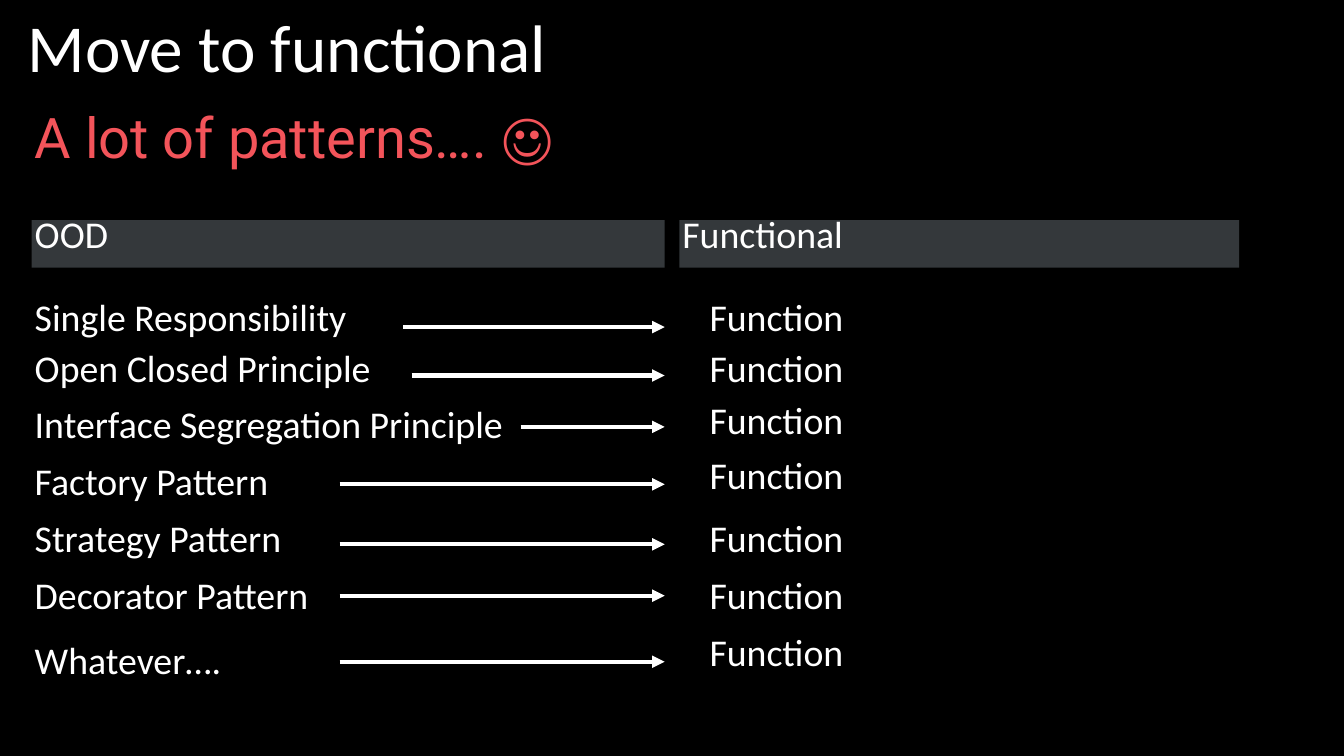
from lxml import etree
from pptx import Presentation
from pptx.dml.color import RGBColor
from pptx.enum.shapes import MSO_CONNECTOR as Connector, MSO_SHAPE as Shape
from pptx.enum.text import MSO_ANCHOR as Anchor, PP_ALIGN as Align
from pptx.oxml.ns import qn
from pptx.util import Inches, Pt

COLORS = {
    "background": "000000",
    "text": "FFFFFF",
    "accent": "F3545A",
    "header": "34383B",
}
INSET = 0.06
ROW_HEIGHT = 0.94
LEFT_COLUMN, RIGHT_COLUMN = 0.63, 14.02
COLUMN_WIDTH = 10.57
ARROW_END = 13.19

# Pattern, its top, top of its counterpart, arrow start, arrow height
ROWS = [
    ("Single Responsibility", 6.02, 6.02, 8, 6.49),
    ("Open Closed Principle", 7.03, 7.03, 8.17, 7.45),
    ("Interface Segregation Principle", 8.14, 8.06, 10.33, 8.47),
    ("Factory Pattern", 9.27, 9.15, 6.74, 9.61),
    ("Strategy Pattern", 10.4, 10.4, 6.74, 10.8),
    ("Decorator Pattern", 11.53, 11.53, 6.74, 11.82),
    ("Whatever….", 12.81, 12.66, 6.74, 13.13),
]


def rgb(name):
    return RGBColor.from_string(COLORS[name])


class SlideBuilder:
    def __init__(self, page):
        self.page = page
        self.font = "Calibri"
        self.size = 54
        self.spacing = 0.7

    def background(self, color):
        fill = self.page.background.fill
        fill.solid()
        fill.fore_color.rgb = rgb(color)

    def fill_text(self, shape, text, size=None, font=None, color="text", spacing=None):
        frame = shape.text_frame
        frame.word_wrap = True
        frame.vertical_anchor = Anchor.TOP
        frame.margin_left = frame.margin_right = Inches(INSET)
        frame.margin_top = frame.margin_bottom = Inches(INSET)
        para = frame.paragraphs[0]
        para.alignment = Align.LEFT
        para.line_spacing = spacing or self.spacing
        span = para.add_run()
        span.text = text
        span.font.name = font or self.font
        span.font.size = Pt(size or self.size)
        span.font.color.rgb = rgb(color)

    def text(self, left, top, width, height, text, **style):
        box = self.page.shapes.add_textbox(*map(Inches, (left, top, width, height)))
        self.fill_text(box, text, **style)

    def header(self, left, top, width, text):
        bar = self.page.shapes.add_shape(
            Shape.RECTANGLE, *map(Inches, (left, top, width, ROW_HEIGHT)))
        bar.shadow.inherit = False
        bar.fill.solid()
        bar.fill.fore_color.rgb = rgb("header")
        bar.line.fill.background()
        self.fill_text(bar, text)

    def arrow(self, start, end, height):
        arrow = self.page.shapes.add_connector(
            Connector.STRAIGHT, *map(Inches, (start, height, end, height)))
        arrow.line.color.rgb = rgb("text")
        arrow.line.width = Pt(6)
        properties = arrow._element.spPr
        etree.SubElement(properties.find(qn("a:ln")), qn("a:tailEnd"), type="triangle")
        etree.SubElement(properties, qn("a:effectLst"))


def main():
    deck = Presentation()
    deck.slide_width, deck.slide_height = Inches(26.67), Inches(15)
    builder = SlideBuilder(deck.slides.add_slide(deck.slide_layouts[6]))
    builder.background("background")

    # Title and subtitle
    builder.text(0.49, 0.36, 25.76, 1.47, "Move to functional", size=96, spacing=0.8)
    builder.text(LEFT_COLUMN, 2.24, 25.76, ROW_HEIGHT, "A lot of patterns…. ☺",
                 size=80, font="Roboto", color="accent", spacing=0.8)

    # Column headers
    builder.header(LEFT_COLUMN, 4.37, 12.56, "OOD")
    builder.header(13.48, 4.37, 11.11, "Functional")

    # Each pattern points to a function
    for pattern, top, function_top, arrow_start, arrow_height in ROWS:
        builder.text(LEFT_COLUMN, top, COLUMN_WIDTH, ROW_HEIGHT, pattern)
        builder.text(RIGHT_COLUMN, function_top, COLUMN_WIDTH, ROW_HEIGHT, "Function")
        builder.arrow(arrow_start, ARROW_END, arrow_height)

    deck.save("out.pptx")


if __name__ == "__main__":
    main()
